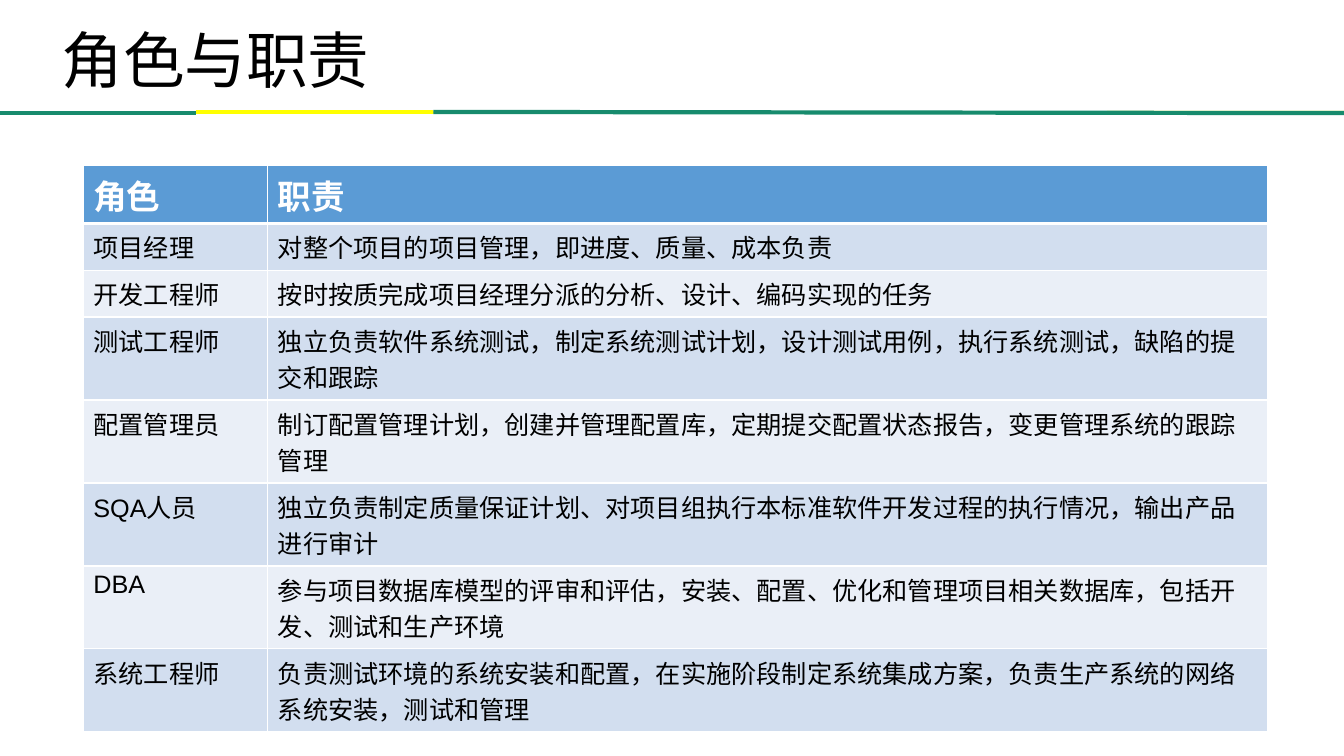
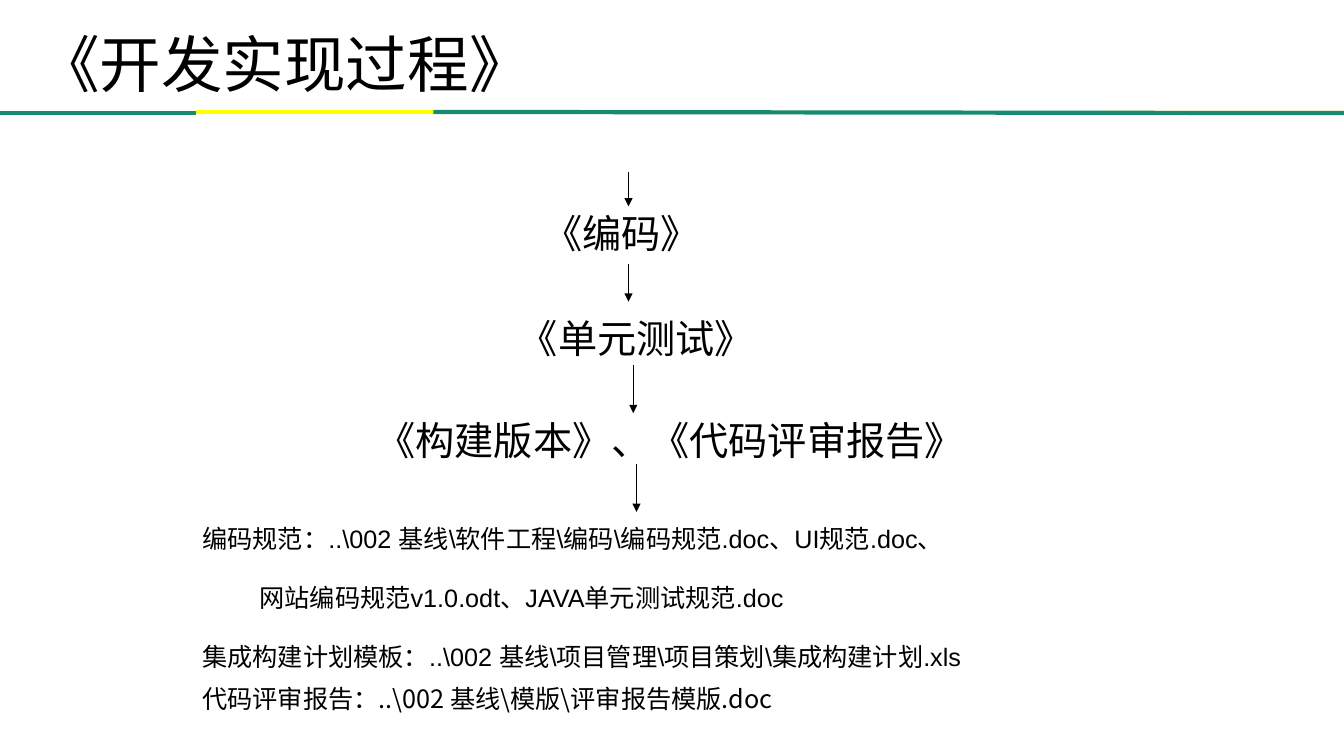
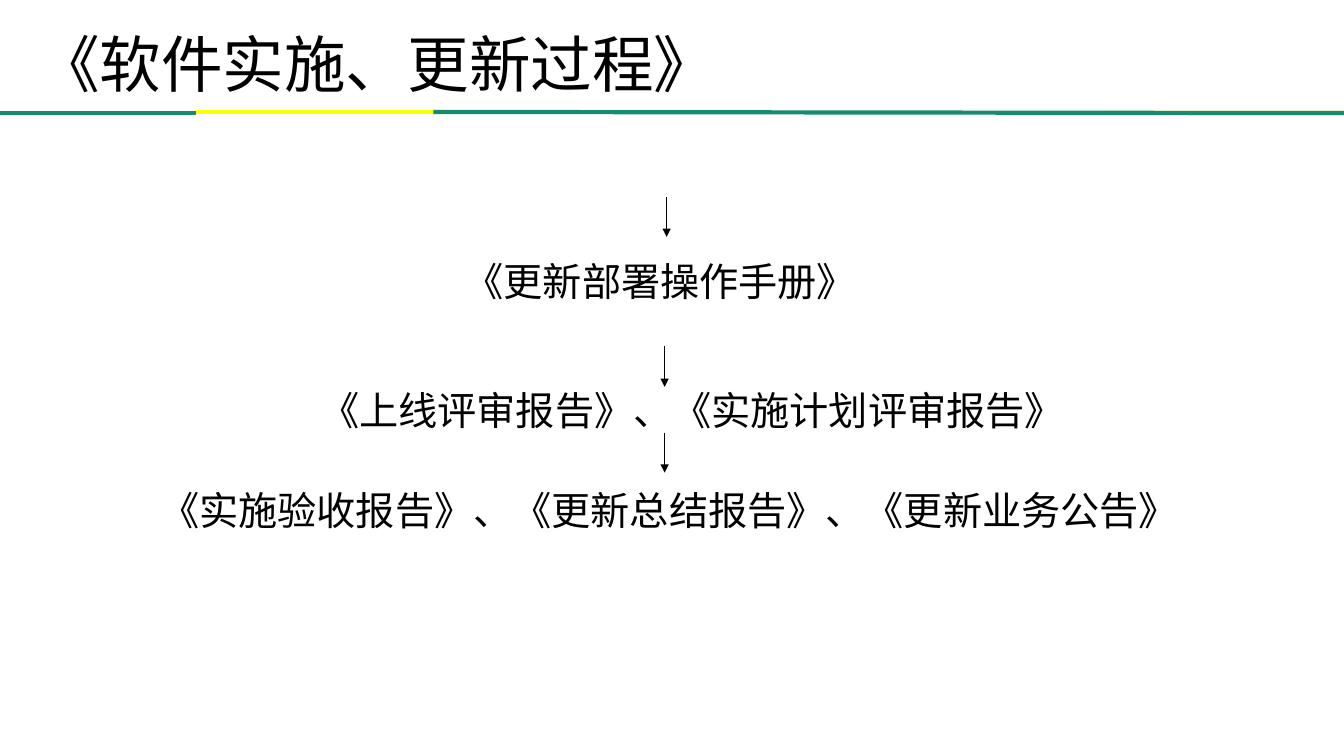
import pptx
import pptx.util
import pptx.dml.color
import pptx.enum.shapes
import pptx.enum.text
import pptx.oxml
import pptx.oxml.ns

Cm = pptx.util.Cm
Pt = pptx.util.Pt
qn = pptx.oxml.ns.qn


class Theme:
    ink = "000000"
    white = "FFFFFF"
    green = "178B6D"
    gold = "FFFA00"
    yellow = "FFFF00"
    header = "5B9BD5"
    bands = ("D2DEEF", "EAEFF7")
    arial = "Arial"
    calibri = "Calibri"
    cjk = "Noto Sans CJK SC"
    title = 44
    step = 28
    head = 24
    body = 18


WIDTH, HEIGHT = 33.87, 19.05
RULES = [
    ((0, 2.84), (WIDTH, 2.82), Theme.gold, 1.5),
    ((10.92, 2.82), (WIDTH, 2.85), Theme.green, 3),
    ((0, 2.84), (4.93, 2.84), Theme.green, 3),
    ((4.93, 2.82), (10.92, 2.82), Theme.yellow, 3),
]

INSETS = (0.25, 0.18, 0.25, 0.13)
STEP_INSETS = (0.25, 0.2, 0.25, 0.13)
TIGHT = {"line_spacing": 0.95}
AIRY = {"line_spacing": 0.93, "space_before": Pt(12), "space_after": Pt(10)}

ROLES = [
    ("角色", "职责"),
    ("项目经理", "对整个项目的项目管理，即进度、质量、成本负责"),
    ("开发工程师", "按时按质完成项目经理分派的分析、设计、编码实现的任务"),
    ("测试工程师", "独立负责软件系统测试，制定系统测试计划，设计测试用例，执行系统测试，缺陷的提交和跟踪"),
    ("配置管理员", "制订配置管理计划，创建并管理配置库，定期提交配置状态报告，变更管理系统的跟踪管理"),
    ("SQA人员", "独立负责制定质量保证计划、对项目组执行本标准软件开发过程的执行情况，输出产品进行审计"),
    ("DBA", "参与项目数据库模型的评审和评估，安装、配置、优化和管理项目相关数据库，包括开\n发、测试和生产环境"),
    ("系统工程师", "负责测试环境的系统安装和配置，在实施阶段制定系统集成方案，负责生产系统的网络系统安装，测试和管理"),
]
CALIBRI_CELLS = {(0, 0), (0, 1), (1, 0), (1, 1), (3, 1)}
COLUMNS = (4.65, 25.2)
ROWS = [1.46] + [1.18] * 2 + [2.09] * 5

DOCUMENTS = [
    ("编码规范：..\\002 基线\\软件工程\\编码\\编码规范.doc、UI规范.doc、", Theme.arial, AIRY, 0),
    ("网站编码规范v1.0.odt、JAVA单元测试规范.doc", Theme.arial, AIRY, 1.44),
    ("集成构建计划模板：..\\002 基线\\项目管理\\项目策划\\集成构建计划.xls", Theme.arial, AIRY, 0),
    ("代码评审报告：..\\002 基线\\模版\\评审报告模版.doc", Theme.cjk, TIGHT, 0),
]

FLOWS = [
    {
        "title": "《开发实现过程》",
        "font": Theme.arial, "spacing": AIRY, "insets": STEP_INSETS,
        "steps": [
            ("《编码》", (13.44, 5.19, 4.6, 1.37)),
            ("《单元测试》", (12.83, 7.82, 7.01, 1.37)),
            ("《构建版本》、《代码评审报告》", (9.24, 10.39, 15.6, 1.37)),
        ],
        "arrows": [(15.84, 4.34, 5.2), (15.84, 6.65, 7.6),
                   (15.96, 9.19, 10.41), (16.04, 11.7, 12.9)],
        "documents": DOCUMENTS,
    },
    {
        "title": "《软件实施、更新过程》",
        "font": Theme.cjk, "spacing": TIGHT, "insets": INSETS,
        "steps": [
            ("《更新部署操作手册》", (11.46, 6.4, 10.59, 1.37)),
            ("《上线评审报告》、《实施计划评审报告》", (7.82, 9.63, 19.81, 1.37)),
            ("《实施验收报告》、《更新总结报告》、《更新业务公告》", (3.79, 12.17, 26.21, 2.51)),
        ],
        "arrows": [(16.8, 4.97, 5.97), (16.75, 8.73, 9.75), (16.75, 10.92, 11.91)],
        "documents": [],
    },
]


def rgb(color):
    return pptx.dml.color.RGBColor.from_string(color)


def apply(obj, values):
    for name, value in values.items():
        setattr(obj, name, value)


def write(p, text, size, font, color=Theme.ink, bold=False):
    r = p.add_run()
    r.text = text
    apply(r.font, {"size": Pt(size), "name": font, "bold": bold})
    r.font.color.rgb = rgb(color)
    ea = r.font._element.makeelement(qn("a:ea"), {"typeface": Theme.cjk})
    r.font._element.append(ea)


def add_text(s, box, lines, size, insets=INSETS, anchor="TOP"):
    sp = s.shapes.add_textbox(*map(Cm, box))
    tf = sp.text_frame
    sides = ("margin_left", "margin_top", "margin_right", "margin_bottom")
    apply(tf, dict(zip(sides, map(Cm, insets))))
    apply(tf, {"word_wrap": True,
               "vertical_anchor": getattr(pptx.enum.text.MSO_ANCHOR, anchor)})
    for i, (text, font, spacing, indent) in enumerate(lines):
        p = tf.add_paragraph() if i else tf.paragraphs[0]
        apply(p, spacing)
        if indent:
            p._p.get_or_add_pPr().set("marL", str(Cm(indent)))
        write(p, text, size, font)


def add_line(s, start, end, color, width, arrow=False):
    line = s.shapes.add_connector(pptx.enum.shapes.MSO_CONNECTOR.STRAIGHT,
                                  *map(Cm, start + end))
    line.line.color.rgb = rgb(color)
    line.line.width = Pt(width)
    spPr = line._element.spPr
    if arrow:
        ln = spPr.find(qn("a:ln"))
        ln.append(ln.makeelement(qn("a:tailEnd"), {"type": "triangle"}))
    spPr.append(spPr.makeelement(qn("a:effectLst"), {}))


def add_slide(prs):
    s = prs.slides.add_slide(prs.slide_layouts[6])
    for start, end, color, width in RULES:
        add_line(s, start, end, color, width)
    return s


def set_borders(cell, bottom):
    tcPr = cell._tc.get_or_add_tcPr()
    for i, (side, width) in enumerate((("L", 1), ("R", 1), ("T", 1), ("B", bottom))):
        ln = tcPr.makeelement(qn("a:ln" + side), {"w": str(Pt(width))})
        fill = ln.makeelement(qn("a:solidFill"), {})
        fill.append(fill.makeelement(qn("a:srgbClr"), {"val": Theme.white}))
        ln.append(fill)
        tcPr.insert(i, ln)


def add_roles(prs):
    s = add_slide(prs)
    title = ("角色与职责", Theme.arial, {"line_spacing": 0.9}, 0)
    add_text(s, (1.3, 0.35, 27.23, 2.51), [title], Theme.title,
             (0.25, 0.13, 0.25, 0.13), "MIDDLE")
    table = s.shapes.add_table(len(ROWS), len(COLUMNS), Cm(2.1), Cm(4.17),
                               Cm(sum(COLUMNS)), Cm(sum(ROWS))).table
    for column, width in zip(table.columns, COLUMNS):
        column.width = Cm(width)
    for i, (row, height, texts) in enumerate(zip(table.rows, ROWS, ROLES)):
        row.height = Cm(height)
        is_head = i == 0
        for j, (cell, text) in enumerate(zip(row.cells, texts)):
            cell.fill.solid()
            cell.fill.fore_color.rgb = rgb(Theme.header if is_head else Theme.bands[(i - 1) % 2])
            set_borders(cell, 3 if is_head else 1)
            tf = cell.text_frame
            for k, line in enumerate(text.split("\n")):
                p = tf.add_paragraph() if k else tf.paragraphs[0]
                write(p, line, Theme.head if is_head else Theme.body,
                      Theme.calibri if (i, j) in CALIBRI_CELLS else Theme.arial,
                      Theme.white if is_head else Theme.ink, is_head)


def add_flow(prs, flow):
    s = add_slide(prs)
    add_text(s, (0.71, 0.61, 23.57, 2.51),
             [(flow["title"], Theme.arial, TIGHT, 0)], Theme.title)
    for text, box in flow["steps"]:
        add_text(s, box, [(text, flow["font"], flow["spacing"], 0)],
                 Theme.step, flow["insets"])
    for x, top, bottom in flow["arrows"]:
        add_line(s, (x, top), (x, bottom), Theme.ink, 0.75, arrow=True)
    if flow["documents"]:
        add_text(s, (4.85, 13.07, 23.8, 5.18), flow["documents"], Theme.body)


def main():
    prs = pptx.Presentation()
    apply(prs, {"slide_width": Cm(WIDTH), "slide_height": Cm(HEIGHT)})
    add_roles(prs)
    for flow in FLOWS:
        add_flow(prs, flow)
    prs.save("out.pptx")


if __name__ == "__main__":
    main()
